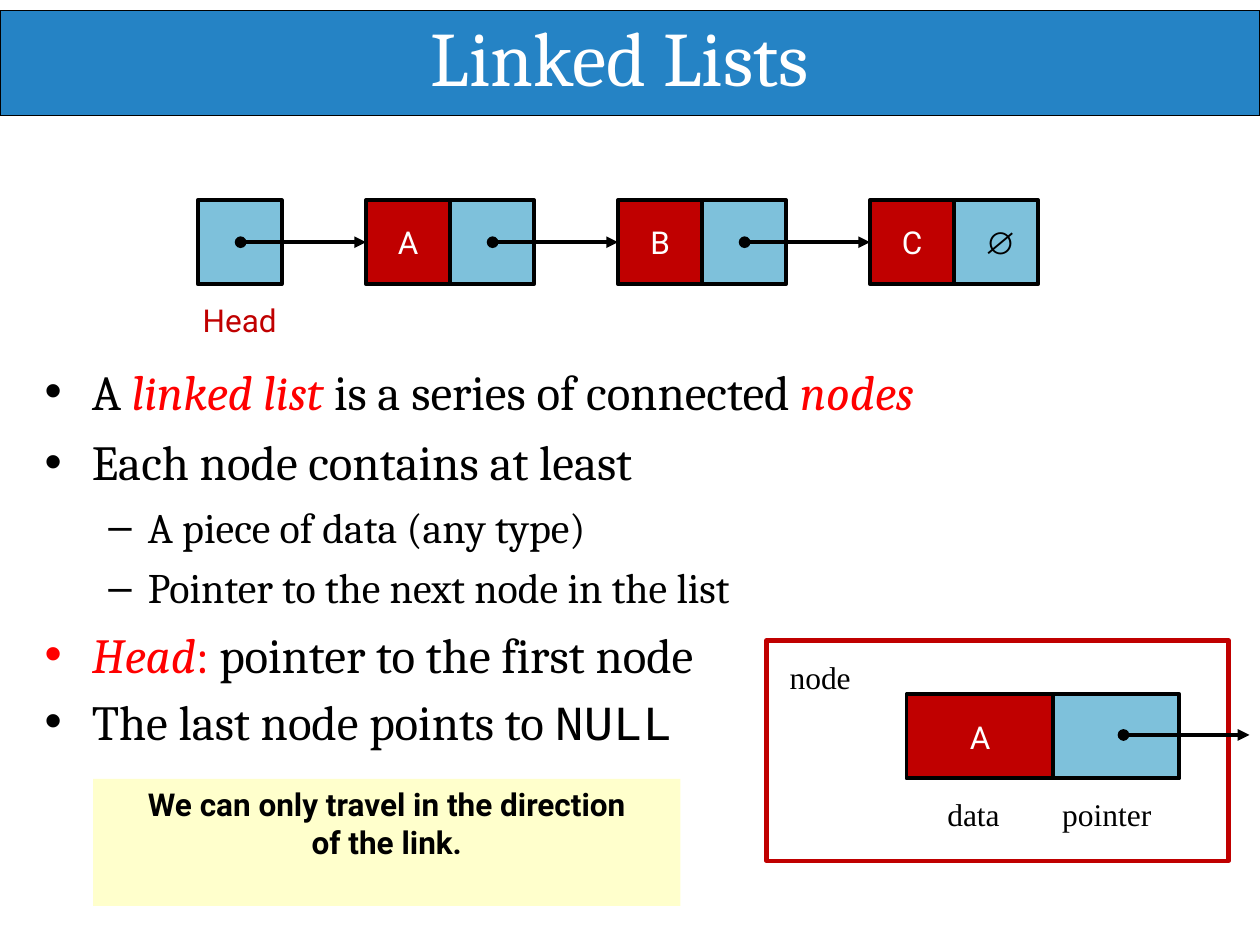
from lxml import etree
from pptx import Presentation
from pptx.dml.color import RGBColor
from pptx.enum import shapes, text
from pptx.oxml import ns
from pptx.util import Pt

COLOURS = {name: RGBColor.from_string(value) for name, value in {
    "banner": "2583C5", "data": "C00000", "pointer": "7EC1DB", "note": "FFFFCC",
    "accent": "FF0000", "black": "000000", "white": "FFFFFF"}.items()}

presentation = Presentation()
presentation.slide_width, presentation.slide_height = Pt(720), Pt(540)
slide = presentation.slides.add_slide(presentation.slide_layouts[5])


def add_box(left, top, width, height, fill=None, line=None, weight=2.25, words="",
            font="Roboto", colour="black", align=text.PP_ALIGN.CENTER,
            anchor=text.MSO_ANCHOR.MIDDLE):
    """Add a rectangle, or a text box when it has neither fill nor line."""
    if fill or line:
        shape = slide.shapes.add_shape(shapes.MSO_SHAPE.RECTANGLE,
                                       Pt(left), Pt(top), Pt(width), Pt(height))
        shape.shadow.inherit = False
        if fill:
            shape.fill.solid()
            shape.fill.fore_color.rgb = COLOURS[fill]
        else:
            shape.fill.background()
        if line:
            shape.line.color.rgb = COLOURS[line]
            shape.line.width = Pt(weight)
        else:
            shape.line.fill.background()
    else:
        shape = slide.shapes.add_textbox(Pt(left), Pt(top), Pt(width), Pt(height))
    frame = shape.text_frame
    frame.word_wrap = True
    frame.vertical_anchor = anchor
    frame.margin_left = frame.margin_right = frame.margin_top = frame.margin_bottom = 0
    if words:
        frame.text = words
        for paragraph in frame.paragraphs:
            paragraph.alignment = align
            paragraph.font.name, paragraph.font.size = font, Pt(18)
            paragraph.font.color.rgb = COLOURS[colour]
    return shape


def add_link(left, right, y, target=None):
    """Add an arrow that starts with a dot, optionally joined to a target's left side."""
    link = slide.shapes.add_connector(shapes.MSO_CONNECTOR.STRAIGHT,
                                      Pt(left), Pt(y), Pt(right), Pt(y))
    link.line.color.rgb = COLOURS["black"]
    link.line.width = Pt(2.25)
    if target is not None:
        link.end_connect(target, 1)
    outline = link.line._get_or_add_ln()
    etree.SubElement(outline, ns.qn("a:headEnd"), type="oval")
    etree.SubElement(outline, ns.qn("a:tailEnd"), type="triangle", w="med", len="med")
    etree.SubElement(link._element.spPr, ns.qn("a:effectLst"))


# Title on its banner
banner = add_box(0, 6, 720, 60, "banner", "black", 0.75)
slide.shapes._spTree.insert(2, banner._element)
title = slide.shapes.title
title.left, title.top, title.width, title.height = Pt(67.5), Pt(4.5), Pt(585), Pt(57.5)
frame = title.text_frame
frame.text = "Linked Lists"
frame.auto_size = text.MSO_AUTO_SIZE.NONE
frame.vertical_anchor = text.MSO_ANCHOR.TOP
frame.margin_left, frame.margin_top = Pt(178.5), Pt(0.75)
frame.margin_right = frame.margin_bottom = 0
paragraph = frame.paragraphs[0]
paragraph.alignment = text.PP_ALIGN.LEFT
paragraph.font.name, paragraph.font.size = "Cambria", Pt(44)
paragraph.font.color.rgb = COLOURS["white"]

# Chain of nodes
CELL, ROW_TOP, HEAD_LEFT, FIRST_NODE, NODE_STEP = 48, 114.4, 113, 209.2, 144
add_box(HEAD_LEFT, ROW_TOP, CELL, CELL, "pointer", "black")
add_box(HEAD_LEFT, 172, CELL, 22, words="Head", colour="data")
link_start = HEAD_LEFT + CELL / 2
data_cells = []
for index, letter in enumerate("ABC"):
    left = FIRST_NODE + index * NODE_STEP
    pointer_cell = add_box(left + CELL, ROW_TOP, CELL, CELL, "pointer", "black",
                           words="∅" if letter == "C" else "", font="Arial")
    data_cells.append(add_box(left, ROW_TOP, CELL, CELL, "data", "black",
                              words=letter, colour="white"))
pointer_cell.text_frame.margin_left = Pt(5)
for index, cell in enumerate(data_cells):
    left = FIRST_NODE + index * NODE_STEP
    add_link(left - 71.7, left, ROW_TOP + CELL / 2, cell)

# Bullets: level, space before, runs of (words, style)
bullets = [
    (0, 0, [("A ", ""), ("linked list", "term"), (" is a series of connected ", ""),
            ("nodes", "term")]),
    (0, 6.7, [("Each node contains at least", "")]),
    (1, 6, [("A piece of data (any type)", "")]),
    (1, 5.8, [("Pointer to the next node in the list", "")]),
    (0, 7, [("Head", "term"), (": ", "red"), ("pointer to the first node", "")]),
    (0, 4.8, [("The last node points to ", ""), ("NULL", "code")]),
]
LEVELS = [("•", 28, 28, -27), ("–", 24, 60, -22.5)]
frame = add_box(24.5, 206.5, 520, 224, anchor=text.MSO_ANCHOR.TOP).text_frame
for index, (level, space, runs) in enumerate(bullets):
    mark, size, margin, indent = LEVELS[level]
    paragraph = frame.paragraphs[0] if index == 0 else frame.add_paragraph()
    paragraph.level = level
    if index:
        paragraph.space_before = Pt(space)
    properties = paragraph._p.get_or_add_pPr()
    properties.set("marL", str(Pt(margin)))
    properties.set("indent", str(Pt(indent)))
    etree.SubElement(properties, ns.qn("a:buFont"), typeface="Arial")
    etree.SubElement(properties, ns.qn("a:buChar"), char=mark)
    paragraph.font.name, paragraph.font.size = "Cambria", Pt(size)
    paragraph.font.color.rgb = COLOURS["black"]
    for words, style in runs:
        run = paragraph.add_run()
        run.text = words
        if style in ("term", "red"):
            run.font.color.rgb = COLOURS["accent"]
        if style == "term":
            run.font.italic = True
        if style == "code":
            run.font.name = "Courier New"

# Anatomy of one node
add_box(438, 366, 264, 126, line="data", weight=2.5)
add_box(602, 396.8, 72, CELL, "pointer", "black")
add_box(518, 396.8, 84, CELL, "data", "black", words="A", colour="white")
add_link(642, 714, 420)
for words, left, top, width in [("node", 451.2, 375.8, 36), ("data", 541.3, 454.3, 32),
                                ("pointer", 607, 454.3, 53)]:
    add_box(left, top, width, 23, words=words, font="Times New Roman",
            align=text.PP_ALIGN.LEFT, anchor=text.MSO_ANCHOR.TOP)

# Note
note = add_box(53.3, 445, 335.5, 72.7, "note", anchor=text.MSO_ANCHOR.TOP,
               words="We can only travel in the direction\nof the link.")
note.text_frame.margin_top = Pt(3.6)
for paragraph in note.text_frame.paragraphs:
    paragraph.font.bold = True

presentation.save("out.pptx")
